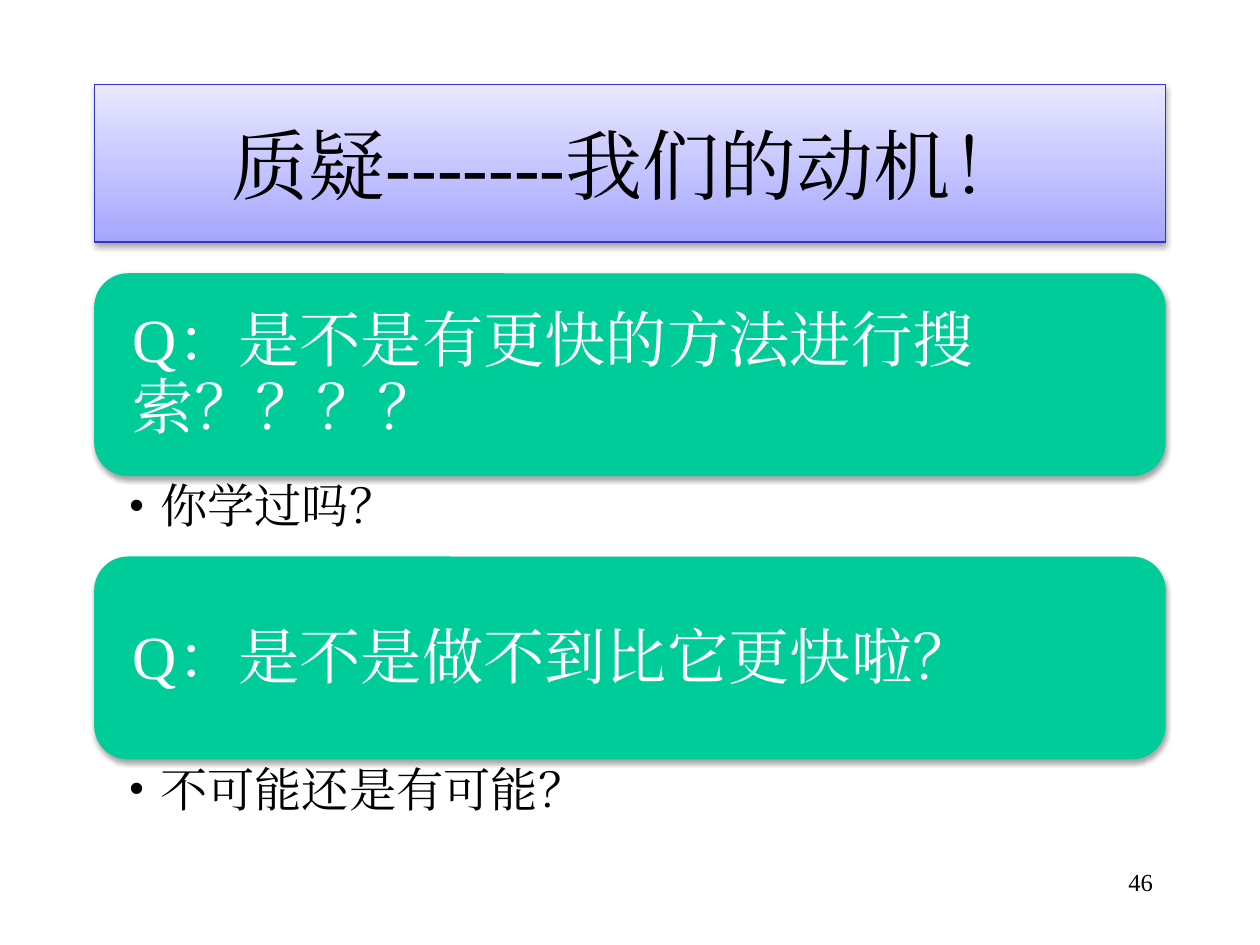
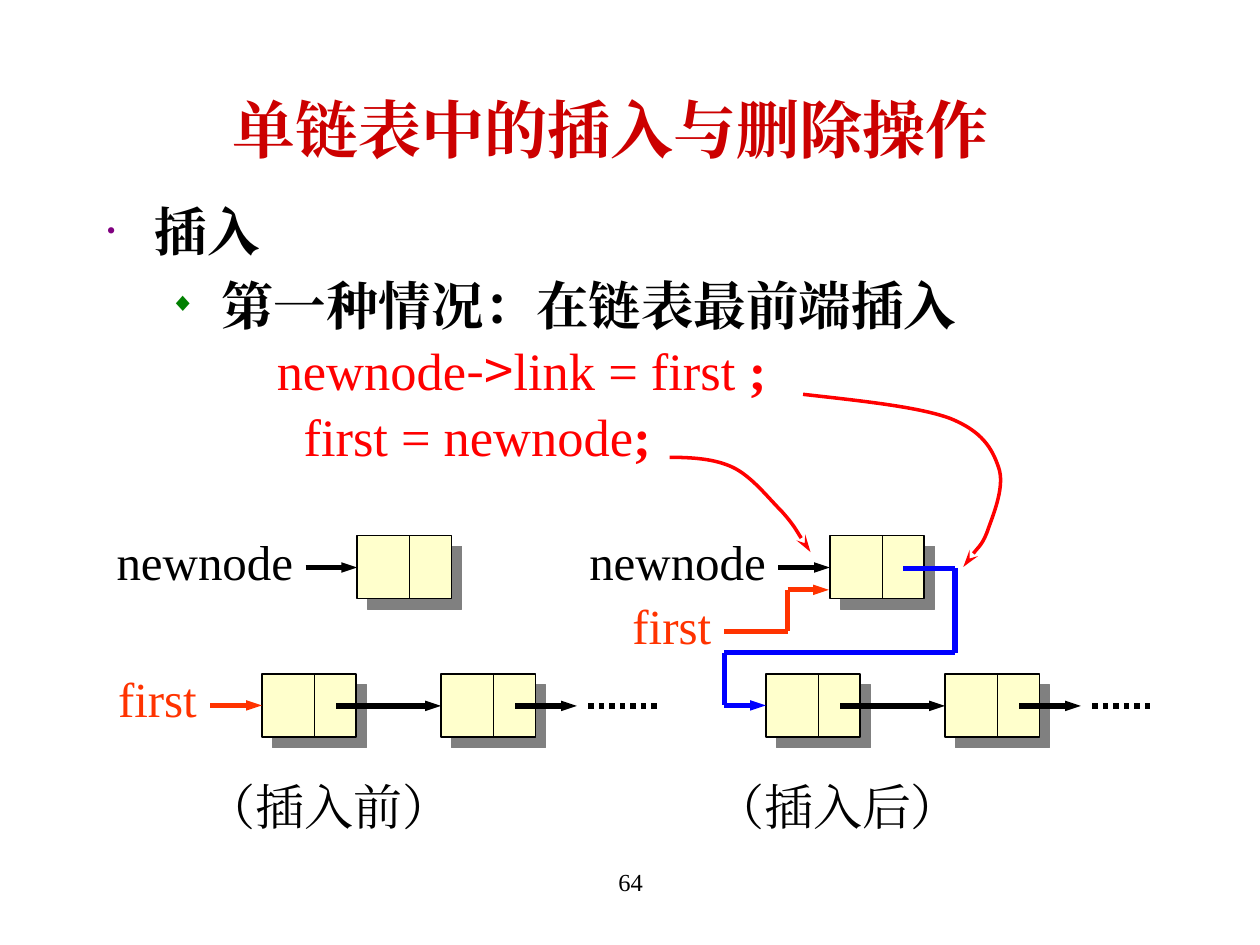
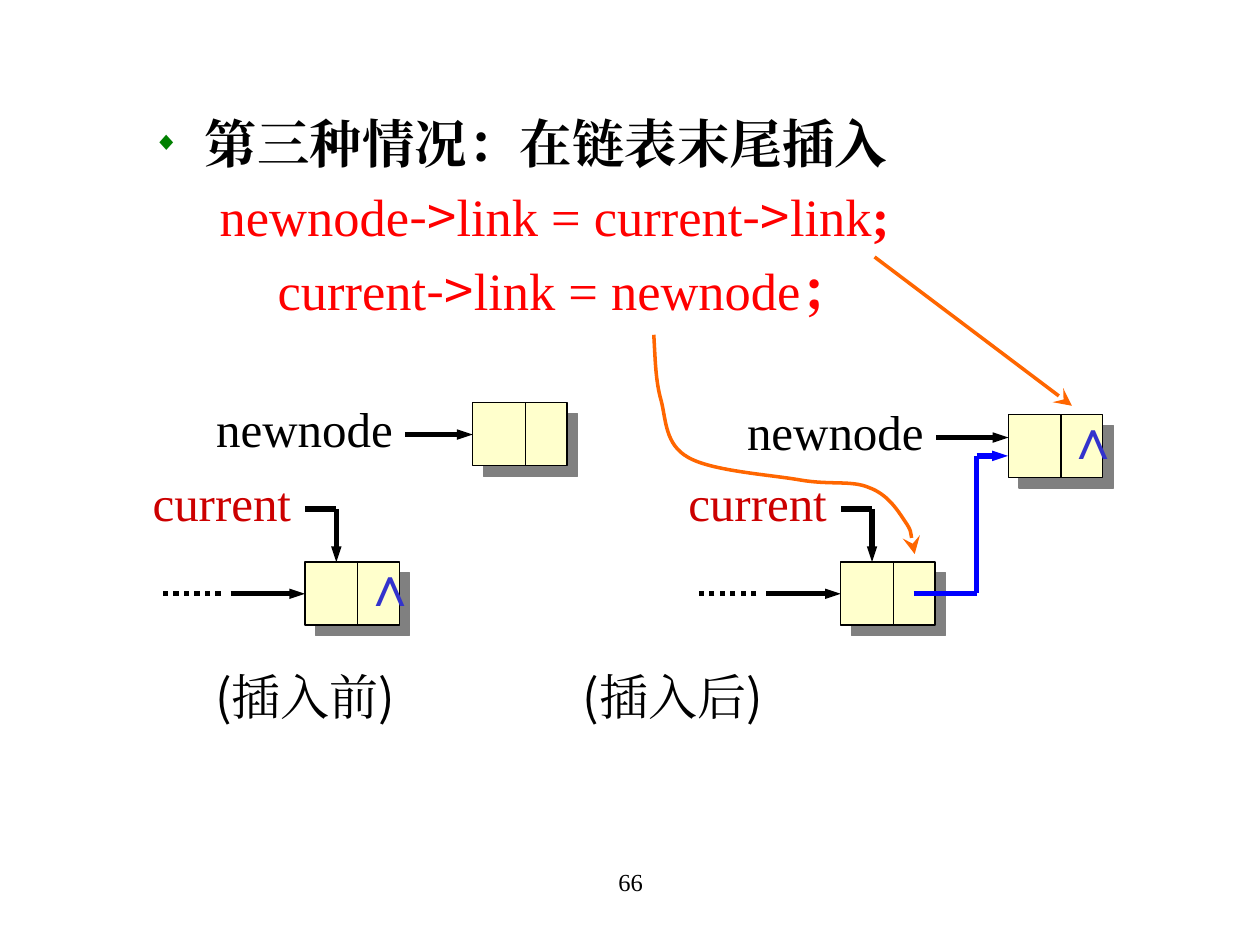
import dataclasses
import itertools

import lxml.etree
import pptx
import pptx.dml.color
import pptx.enum.dml
import pptx.enum.shapes
import pptx.enum.text
import pptx.oxml.ns
import pptx.util

Cm = pptx.util.Cm
Pt = pptx.util.Pt
ALIGN = pptx.enum.text.PP_ALIGN
ANCHOR = pptx.enum.text.MSO_ANCHOR
SHAPE = pptx.enum.shapes.MSO_SHAPE


@dataclasses.dataclass(frozen=True)
class Theme:
    """Colours, fonts and type sizes shared by the slides."""
    serif: str = "Times New Roman"
    sans: str = "Noto Sans CJK SC"
    black: str = "000000"
    white: str = "FFFFFF"
    card: str = "00CC99"
    banner_top: str = "E8E8FF"
    banner_bottom: str = "A6A6FF"
    banner_line: str = "3333CC"
    heading: str = "CC0000"
    code: str = "FF0000"
    first: str = "FF3300"
    link: str = "0000FF"
    hint: str = "FF6600"
    null: str = "3333CC"
    cell: str = "FFFFCC"
    cell_shadow: str = "808080"
    dot: str = "800080"
    diamond: str = "008000"
    banner_size: float = 44
    title_size: float = 36
    card_size: float = 35
    null_size: float = 32
    body_size: float = 30
    label_size: float = 28
    answer_size: float = 27
    number_size: float = 14
    leading: float = 1.2
    wire: float = 3
    thin: float = 0.75
    pointer: float = 2


THEME = Theme()
NODE_WIDTH, NODE_HEIGHT, NODE_MIDDLE = 1.9, 1.27, 0.64


@dataclasses.dataclass(frozen=True)
class Box:
    """A rectangle in centimetres."""
    left: float
    top: float
    width: float
    height: float

    def inner(self, x, y, width, height):
        """Return a box placed relative to this one."""
        return Box(self.left + x, self.top + y, width, height)

    def spot(self, x, y):
        """Return a point of this box as slide lengths."""
        return Cm(self.left + x), Cm(self.top + y)

    def frame(self):
        """Return the four lengths that python-pptx expects."""
        return Cm(self.left), Cm(self.top), Cm(self.width), Cm(self.height)


def rgb(colour):
    """Turn a hex string into a colour."""
    return pptx.dml.color.RGBColor.from_string(colour)


def add_element(parent, tag, **attributes):
    """Append a drawing element."""
    return lxml.etree.SubElement(parent, pptx.oxml.ns.qn(tag), **attributes)


def format_span(span, size, colour, bold=False, font=THEME.serif):
    """Give a run its type."""
    span.font.size = Pt(size)
    span.font.bold = bold
    span.font.color.rgb = rgb(colour)
    span.font.name = font
    add_element(span._r.get_or_add_rPr(), "a:ea", typeface=THEME.serif)


def set_indent(para, left, hanging=0):
    """Set the left margin and hanging indent of a paragraph."""
    properties = para._p.get_or_add_pPr()
    properties.set("marL", str(Cm(left)))
    properties.set("indent", str(-Cm(hanging)))
    return properties


def add_bullet(para, left, hanging, sign, colour=None):
    """Hang a bullet before a paragraph; coloured ones are half size."""
    properties = set_indent(para, left, hanging)
    if colour:
        add_element(add_element(properties, "a:buClr"), "a:srgbClr", val=colour)
        add_element(properties, "a:buSzPct", val="50000")
    add_element(properties, "a:buFont", typeface=THEME.serif)
    add_element(properties, "a:buChar", char=sign)


def write(shape, text, size, colour, align=ALIGN.LEFT, anchor=ANCHOR.TOP,
          leading=THEME.leading, wrap=True, **style):
    """Fill a shape with one formatted paragraph and return it."""
    frame = shape.text_frame
    frame.text = text
    frame.word_wrap = wrap
    frame.vertical_anchor = anchor
    para = frame.paragraphs[0]
    para.alignment = align
    para.line_spacing = Pt(round(size * leading, 1))
    format_span(para.runs[0], size, colour, **style)
    return para


def text_box(page, box, text, size, colour, **style):
    """Add a text box with one paragraph."""
    shape = page.shapes.add_textbox(*box.frame())
    return write(shape, text, size, colour, **style)


def label(page, box, text, colour=THEME.black, size=THEME.label_size, **style):
    """Add a short label that never wraps."""
    return text_box(page, box, text, size, colour, wrap=False, **style)


def set_shadow(shape, colour, alpha, blur, distance, angle):
    """Give a shape an outer shadow."""
    shape.shadow.inherit = False
    effects = shape.element.spPr.find(pptx.oxml.ns.qn("a:effectLst"))
    shadow = add_element(effects, "a:outerShdw", blurRad=str(Pt(blur)),
                         dist=str(Pt(distance)), dir=str(angle * 60000),
                         algn="ctr", rotWithShape="0")
    tint = add_element(shadow, "a:srgbClr", val=colour)
    add_element(tint, "a:alpha", val=str(alpha * 1000))


def soft_shadow(shape):
    """Give a shape the soft shadow of banner and cards."""
    set_shadow(shape, THEME.black, 35, 3.1, 1.8, 90)


def style_line(shape, colour, width, head=None, head_width="sm", head_length="med"):
    """Set the stroke of a line and its arrowhead."""
    shape.line.color.rgb = rgb(colour)
    shape.line.width = Pt(width)
    if head:
        add_element(shape.line._get_or_add_ln(), "a:tailEnd", type=head,
                    w=head_width, len=head_length)


def segment(page, box, start, end, colour, width, **head):
    """Draw one straight line between two points of a box."""
    line = page.shapes.add_connector(pptx.enum.shapes.MSO_CONNECTOR.STRAIGHT,
                                     *box.spot(*start), *box.spot(*end))
    style_line(line, colour, width, **head)
    add_element(line.element.spPr, "a:effectLst")
    return line


def wire(page, box, points, colour=THEME.black):
    """Draw a chain of lines that ends in an arrow."""
    for start, end in itertools.pairwise(points):
        head = "triangle" if end == points[-1] else None
        segment(page, box, start, end, colour, THEME.wire, head=head)


def dots(page, box, start, end):
    """Draw the dotted line that stands for the rest of a list."""
    line = segment(page, box, start, end, THEME.black, THEME.wire)
    line.line.dash_style = pptx.enum.dml.MSO_LINE.ROUND_DOT


def curve(page, box, points, colour, head_width):
    """Draw a Bezier arrow: a start, then three points for each arc."""
    spots = [box.spot(*point) for point in points]
    builder = page.shapes.build_freeform(*spots[0])
    builder.add_line_segments(spots[1:], close=False)
    shape = builder.convert_to_shape()
    shape.fill.background()
    style_line(shape, colour, THEME.pointer, "stealth", head_width, "lg")
    shape.shadow.inherit = False
    outline = next(shape.element.iter(pptx.oxml.ns.qn("a:path")))
    lines = outline.findall(pptx.oxml.ns.qn("a:lnTo"))
    for index in range(0, len(lines), 3):
        arc = add_element(outline, "a:cubicBezTo")
        for step in lines[index:index + 3]:
            arc.append(step[0])
            outline.remove(step)


def page_number(page, box, number, align=ALIGN.CENTER):
    """Write the slide number."""
    text_box(page, box, number, THEME.number_size, THEME.black, align=align)


def banner(page, box, text):
    """Draw the gradient title banner."""
    shape = page.shapes.add_shape(SHAPE.RECTANGLE, *box.frame())
    shape.fill.gradient()
    shape.fill.gradient_angle = 270
    colours = (THEME.banner_top, THEME.banner_bottom)
    for stop, colour in zip(shape.fill.gradient_stops, colours):
        stop.color.rgb = rgb(colour)
    style_line(shape, THEME.banner_line, THEME.thin)
    soft_shadow(shape)
    write(shape, text, THEME.banner_size, THEME.black,
          align=ALIGN.CENTER, anchor=ANCHOR.MIDDLE)


def question(page, box, text, answer):
    """Draw a question card with its bulleted reply below."""
    card_height = 4.09
    card = page.shapes.add_shape(SHAPE.ROUNDED_RECTANGLE,
                                 *box.inner(0, 0, box.width, card_height).frame())
    card.fill.solid()
    card.fill.fore_color.rgb = rgb(THEME.card)
    card.line.fill.background()
    soft_shadow(card)
    card.text_frame.margin_left = card.text_frame.margin_right = Cm(0.58)
    write(card, text, THEME.card_size, THEME.white, anchor=ANCHOR.MIDDLE, leading=1.09)
    reply = box.inner(0, card_height, box.width, box.height - card_height)
    para = text_box(page, reply, answer, THEME.answer_size, THEME.black, leading=1.08)
    add_bullet(para, 1.08, 0.64, "•")


def heading(page, box, text):
    """Write the red slide title."""
    text_box(page, box, text, THEME.title_size, THEME.heading, bold=True,
             align=ALIGN.CENTER, anchor=ANCHOR.MIDDLE)


def outline_text(page, box, topics, code, code_gap):
    """Write bulleted topics followed by indented lines of code."""
    frame = page.shapes.add_textbox(*box.frame()).text_frame
    frame.word_wrap = True
    paras = [frame.paragraphs[0]]
    paras += [frame.add_paragraph() for _ in topics[1:] + code]
    for para in paras:
        para.line_spacing = Pt(THEME.body_size * THEME.leading)
    for para, (level, text) in zip(paras, topics):
        para.text = text
        para.level = level
        if para is not paras[0]:
            para.space_before = Pt(6)
        if level:
            add_bullet(para, 2.31, 1.04, "◆", THEME.diamond)
        else:
            add_bullet(para, 0.97, 0.97, "•", THEME.dot)
        format_span(para.runs[0], THEME.body_size, THEME.black, bold=True)
    for para, (indent, pieces) in zip(paras[len(topics):], code):
        para.space_before = Pt(code_gap)
        set_indent(para, indent)
        for piece in pieces:
            span = para.add_run()
            span.text = piece
            format_span(span, THEME.body_size, THEME.code, bold=piece in ";；",
                        font=THEME.sans if piece == "->" else THEME.serif)


def node(page, box, x, y, null=False):
    """Draw a list node with data and link cells."""
    cell = box.inner(x, y, NODE_WIDTH, NODE_HEIGHT)
    shape = page.shapes.add_shape(SHAPE.RECTANGLE, *cell.frame())
    shape.fill.solid()
    shape.fill.fore_color.rgb = rgb(THEME.cell)
    style_line(shape, THEME.black, THEME.thin)
    set_shadow(shape, THEME.cell_shadow, 100, 0, 8.5, 45)
    segment(page, cell, (1.06, 0), (1.06, NODE_HEIGHT), THEME.black, THEME.thin)
    if null:
        label(page, cell.inner(0.91, -0.36, 1.7, 1.6), "∧", THEME.null, THEME.null_size)


def new_node(page, box, node_top=0.2, null=False):
    """Draw the new node at the right end of the box, with its pointer."""
    node_left = box.width - NODE_WIDTH
    label(page, box.inner(0, 0, 4.23, 1.45), "newnode")
    node(page, box, node_left, node_top, null)
    wire(page, box, [(4.06, 0.84), (node_left, 0.84)])


def chain(page, box):
    """Draw two linked nodes and the dots that follow."""
    second = 3.61
    node(page, box, 0, 0)
    node(page, box, second, 0)
    wire(page, box, [(1.5, NODE_MIDDLE), (second, NODE_MIDDLE)])
    wire(page, box, [(second + 1.5, NODE_MIDDLE), (6.35, NODE_MIDDLE)])
    dots(page, box, (6.58, NODE_MIDDLE), (box.width, NODE_MIDDLE))


def list_end(page, box, null=False):
    """Draw the last node of a list with the current pointer."""
    left, top = 3.71, 1.93
    middle = top + NODE_MIDDLE
    label(page, box.inner(0, 0, 3.68, 1.45), "current", THEME.heading, align=ALIGN.RIGHT)
    node(page, box, left, top, null)
    wire(page, box, [(left, 0.86), (4.34, 0.86), (4.34, top)])
    wire(page, box, [(2.21, middle), (left, middle)])
    dots(page, box, (2.01, middle), (0.74, middle))


def front_before(page, box):
    """Draw the list before an insertion at the front."""
    new_node(page, box.inner(0, 0, 7, 1.5))
    chain(page, box.inner(3.18, 2.99, 8.05, NODE_HEIGHT))
    label(page, box.inner(0.03, 2.76, 2.5, 1.45), "first", THEME.first)
    wire(page, box, [(2.14, 3.62), (3.18, 3.62)], THEME.first)
    label(page, box.inner(1.81, 4.92, 5.6, 1.45), "（插入前）")


def front_after(page, box):
    """Draw the list after an insertion at the front."""
    new_node(page, box.inner(0.03, 0, 7, 1.5))
    chain(page, box.inner(3.84, 2.99, 7.85, NODE_HEIGHT))
    label(page, box.inner(0.9, 1.29, 2.26, 1.45), "first", THEME.first)
    wire(page, box, [(3, 2.13), (4.28, 2.13), (4.28, 1.29), (5.11, 1.29)], THEME.first)
    wire(page, box, [(6.61, 0.86), (7.65, 0.86), (7.65, 2.56), (3, 2.56),
                     (3, 3.62), (3.84, 3.62)], THEME.link)
    label(page, box.inner(2.57, 4.92, 5.6, 1.45), "（插入后）")


def front_pointers(page, box):
    """Draw the arrows from code to links for the front case."""
    curve(page, box, [(2.69, 0), (3.84, 0.13), (5, 0.25), (5.64, 0.48),
                      (6.3, 0.74), (6.5, 1.09), (6.63, 1.47),
                      (6.76, 1.83), (6.55, 2.36), (6.43, 2.69),
                      (6.32, 3.02), (5.99, 3.35), (5.92, 3.48)], THEME.code, "med")
    curve(page, box, [(0, 1.27), (0.46, 1.27), (0.91, 1.3), (1.27, 1.47),
                      (1.65, 1.65), (1.98, 2.08), (2.26, 2.36),
                      (2.51, 2.64), (2.74, 3.05), (2.84, 3.18)], THEME.code, "med")


def end_before(page, box):
    """Draw the list before an insertion at the end."""
    new_node(page, box.inner(1.71, 0.02, 7.32, 1.5))
    list_end(page, box.inner(0.04, 1.5, 5.62, 3.2), null=True)
    label(page, box.inner(1.69, 5.41, 5.2, 1.45), "(插入前)", font=THEME.sans)


def end_after(page, box):
    """Draw the list after an insertion at the end."""
    new_node(page, box.inner(3.31, 0.08, 7.42, 1.65), node_top=0.38, null=True)
    list_end(page, box.inner(1.74, 1.5, 5.62, 3.2))
    wire(page, box, [(6.92, 4.06), (8.19, 4.06), (8.19, 1.29), (8.82, 1.29)], THEME.link)
    label(page, box.inner(0, 5.41, 5.2, 1.45), "(插入后)", font=THEME.sans)


def end_pointers(page, box):
    """Draw the arrows from code to links for the end case."""
    segment(page, box, (4.45, 0), (8.43, 3), THEME.hint, THEME.pointer,
            head="stealth", head_width="lg", head_length="lg")
    curve(page, box, [(0, 1.57), (0.03, 2.03), (0.03, 2.49), (0.15, 2.9),
                      (0.25, 3.3), (0.23, 3.78), (0.69, 4.04),
                      (1.17, 4.32), (2.36, 4.39), (2.97, 4.5),
                      (3.58, 4.6), (3.99, 4.5), (4.34, 4.65),
                      (4.7, 4.78), (4.9, 5.08), (5.05, 5.31),
                      (5.21, 5.54), (5.23, 5.87), (5.26, 5.99)], THEME.hint, "lg")


def motive_slide(page, box):
    """Build the slide of questions."""
    banner(page, box.inner(1.9, 1.7, 21.6, 3.18), "质疑-------我们的动机！")
    questions = [("Q：是不是有更快的方法进行搜索？？？？", "你学过吗？"),
                 ("Q：是不是做不到比它更快啦？", "不可能还是有可能？")]
    for index, (text, answer) in enumerate(questions):
        question(page, box.inner(1.9, 5.51 + index * 5.71, 21.6, 5.69), text, answer)
    page_number(page, box.inner(18.21, 17.35, 5.28, 1.27), "46", ALIGN.RIGHT)


def front_slide(page, box):
    """Build the slide on insertion at the front."""
    heading(page, box.inner(2.72, 1.35, 19.18, 2.49), "单链表中的插入与删除操作")
    outline_text(page, box.inner(1.9, 3.89, 22.43, 6.53),
                 [(0, "插入"), (1, "第一种情况：在链表最前端插入")],
                 [(3.43, ["newnode", "->", "link = first ", ";"]),
                  (3.97, ["first = newnode", ";"])], 1.5)
    front_before(page, box.inner(2.1, 10.6, 11.3, 6.4))
    front_after(page, box.inner(11.6, 10.6, 11.7, 6.4))
    front_pointers(page, box.inner(13.5, 7.95, 6.8, 3.5))
    page_number(page, box.inner(8.69, 17.35, 8.05, 1.27), "64")


def end_slide(page, box):
    """Build the slide on insertion at the end."""
    outline_text(page, box.inner(1.57, 2.11, 22.23, 11.43),
                 [(1, "第三种情况：在链表末尾插入")],
                 [(2.61, ["newnode", "->", "link = current", "->", "link", ";"]),
                  (3.78, ["current", "->", "link = newnode", "；"])], 6)
    end_before(page, box.inner(2.4, 7.9, 9.1, 6.9))
    end_after(page, box.inner(11.5, 7.9, 10.8, 6.9))
    end_pointers(page, box.inner(13.18, 5.18, 8.5, 6))
    page_number(page, box.inner(8.69, 17.35, 8.05, 1.27), "66")


def main():
    """Build the deck and save it."""
    deck = pptx.Presentation()
    whole = Box(0, 0, 25.4, 19.05)
    deck.slide_width, deck.slide_height = Cm(whole.width), Cm(whole.height)
    for build in (motive_slide, front_slide, end_slide):
        build(deck.slides.add_slide(deck.slide_layouts[6]), whole)
    deck.save("out.pptx")


if __name__ == "__main__":
    main()
